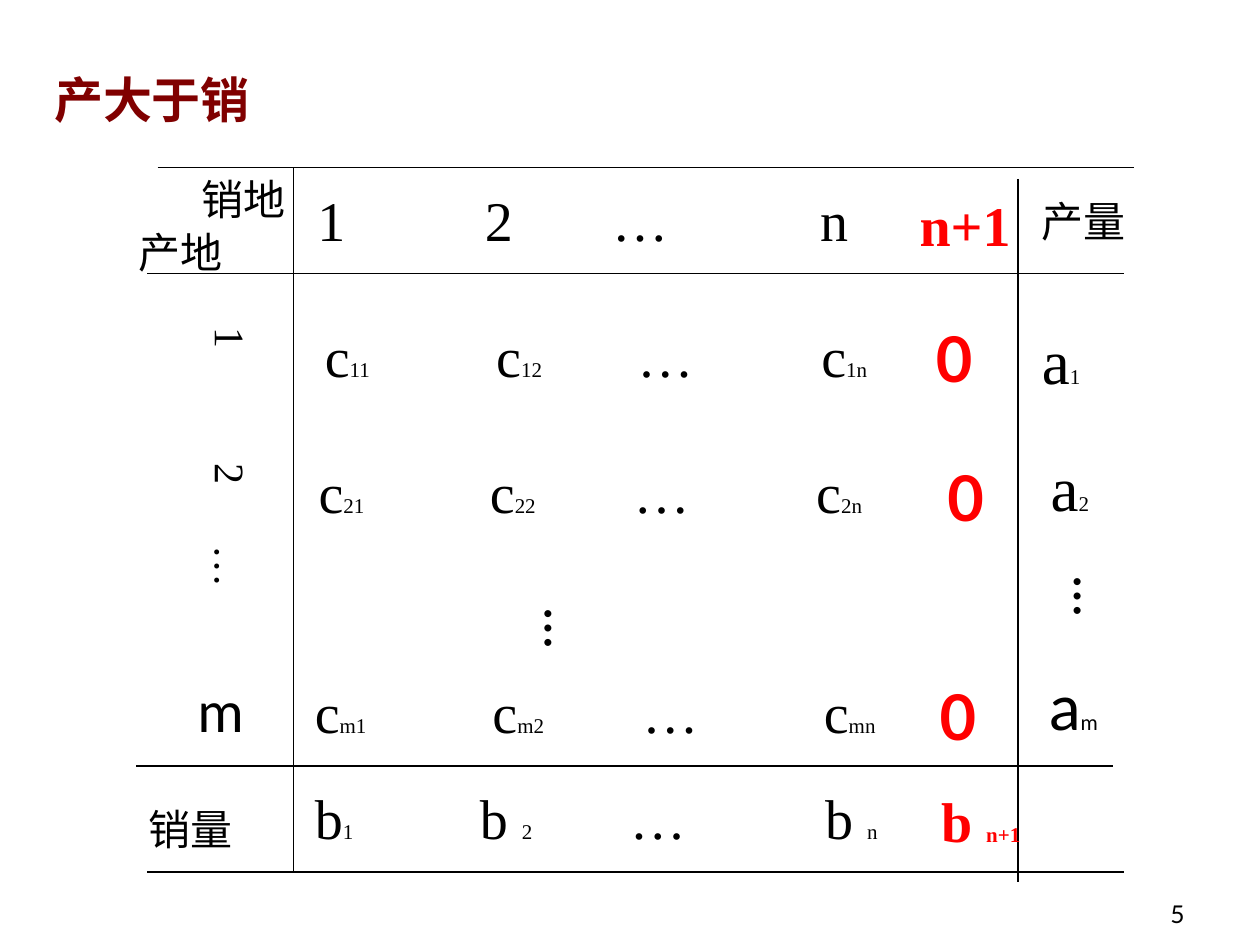
import pptx
import pptx.dml.color
import pptx.enum.shapes
import pptx.enum.text
import pptx.oxml
import pptx.oxml.ns
import pptx.util
from dataclasses import dataclass
from pptx.util import Inches

BLACK = pptx.dml.color.RGBColor(0x00, 0x00, 0x00)
RED = pptx.dml.color.RGBColor(0xFF, 0x00, 0x00)
MAROON = pptx.dml.color.RGBColor(0x80, 0x00, 0x00)
SANS = "Lato"
SERIF = "Times New Roman"
SUBSCRIPT_SIZE = 12


@dataclass
class Box:
    """A region of the slide, in inches."""
    left: float
    top: float
    width: float
    height: float

    def inner(self, left, top, width, height):
        """Return a box whose place is given relative to this one."""
        return Box(self.left + left, self.top + top, width, height)

    def lengths(self):
        """Return left, top, width and height as slide lengths."""
        return [Inches(value) for value in (self.left, self.top, self.width, self.height)]


def add_run(paragraph, text, size, font=SANS, color=BLACK, bold=False):
    """Append one formatted run to a paragraph."""
    run = paragraph.add_run()
    run.text = text
    run.font.size = pptx.util.Pt(size)
    run.font.name = font
    run.font.bold = bold
    run.font.color.rgb = color


def add_tab_stops(paragraph, stops):
    """Give a paragraph left tab stops at the given inches."""
    tab_list = pptx.oxml.ns.qn("a:tabLst")
    properties = paragraph._p.get_or_add_pPr()
    tabs = properties.makeelement(tab_list, {})
    properties.append(tabs)
    for stop in stops:
        tab = tabs.makeelement(pptx.oxml.ns.qn("a:tab"), {"pos": str(Inches(stop)), "algn": "l"})
        tabs.append(tab)


def add_text_box(slide, box, stops=(), vertical=False):
    """Add an empty text box and return its first paragraph."""
    frame = slide.shapes.add_textbox(*box.lengths()).text_frame
    frame.word_wrap = True
    if vertical:
        frame.margin_left = frame.margin_right = Inches(0.05)
        frame.margin_top = frame.margin_bottom = Inches(0.1)
        frame._txBody.bodyPr.set("vert", "eaVert")
    paragraph = frame.paragraphs[0]
    if stops:
        add_tab_stops(paragraph, stops)
    return paragraph


def add_indexed(paragraph, base, index, size=32, font=SERIF, **style):
    """Append a symbol followed by its small index."""
    add_run(paragraph, base, size, font, **style)
    add_run(paragraph, index, SUBSCRIPT_SIZE, font, **style)


def add_symbol_row(slide, box, base, indices, stops):
    """Add three indexed symbols with an ellipsis before the last."""
    first, second, last = indices
    paragraph = add_text_box(slide, box, stops)
    add_indexed(paragraph, base.strip(), first)
    add_indexed(paragraph, "\t" + base, second)
    add_indexed(paragraph, "\t…\t" + base, last)


def add_vertical_dots(slide, box):
    """Add a vertical ellipsis."""
    add_run(add_text_box(slide, box, vertical=True), "…", 32)


def add_title(slide, box):
    """Fill and place the title placeholder."""
    title = slide.shapes.title
    title.left, title.top, title.width, title.height = box.lengths()
    frame = title.text_frame
    frame.auto_size = pptx.enum.text.MSO_AUTO_SIZE.NONE
    frame.vertical_anchor = pptx.enum.text.MSO_ANCHOR.TOP
    paragraph = frame.paragraphs[0]
    paragraph.alignment = pptx.enum.text.PP_ALIGN.LEFT
    add_run(paragraph, "产大于销", 28, color=MAROON, bold=True)


def add_grid(slide, box):
    """Draw the rules of the transport table."""
    rule_length = 7.75
    horizontal = [(0.25, 0), (0.17, 0.84), (0.08, 4.75), (0.17, 5.59)]
    rules = [(left, top, left + rule_length, top) for left, top in horizontal]
    rules += [(1.33, 0, 1.33, 5.59), (7.08, 0.09, 7.08, 5.67)]
    for start_x, start_y, end_x, end_y in rules:
        line = slide.shapes.add_connector(
            pptx.enum.shapes.MSO_CONNECTOR.STRAIGHT,
            Inches(box.left + start_x), Inches(box.top + start_y),
            Inches(box.left + end_x), Inches(box.top + end_y))
        line.line.color.rgb = BLACK
        line.line.width = pptx.util.Pt(0.75)
        properties = line._element.spPr
        properties.append(properties.makeelement(pptx.oxml.ns.qn("a:effectLst"), {}))


def add_headings(slide, box):
    """Add the row and column headings."""
    labels = [("销地", 0.5, 0), ("产地", 0, 0.42), ("销量", 0.08, 5), ("产量", 7.17, 0.17)]
    for text, left, top in labels:
        add_run(add_text_box(slide, box.inner(left, top, 1.17, 0.5)), text, 24)
    columns = add_text_box(slide, box.inner(1.42, 0.09, 4.55, 0.64), (1.33, 2.34, 3.99))
    add_run(columns, "1\t2\t…\tn", 32, SERIF)
    extra = add_text_box(slide, box.inner(6.2, 0.13, 2.13, 0.64))
    add_run(extra, "n+1", 32, SERIF, RED, True)
    rows = add_text_box(slide, box.inner(0.09, 1.17, 1, 3.53), (1.08, 1.73), vertical=True)
    add_run(rows, "1\t2\t…", 24, SERIF)
    add_run(add_text_box(slide, box.inner(0.47, 3.99, 1.17, 0.64)), "m", 32)


def add_costs(slide, box):
    """Add the cost rows and the zero costs of the extra column."""
    rows = [
        ("1", 1.48, 1.17, (1.36, 2.48, 3.94)),
        ("2", 1.43, 2.25, (1.36, 2.5, 3.95)),
        ("m", 1.4, 4, (1.41, 2.6, 4.04)),
    ]
    for row, left, top, stops in rows:
        indices = [row + column for column in "12n"]
        add_symbol_row(slide, box.inner(left, top, 4.83, 0.64), "c", indices, stops)
    add_vertical_dots(slide, box.inner(2.29, 3.39, 1.53, 0.8))
    for left, top in [(6.33, 1.16), (6.42, 2.26), (6.36, 4)]:
        zero = add_text_box(slide, box.inner(left, top, 1.17, 0.7))
        add_run(zero, "0", 36, color=RED, bold=True)


def add_supply(slide, box):
    """Add the supply column."""
    supplies = [("1", 7.17, 1.17, SERIF), ("2", 7.24, 2.18, SERIF), ("m", 7.23, 3.92, SANS)]
    for index, left, top, font in supplies:
        paragraph = add_text_box(slide, box.inner(left, top, 1.17, 0.7))
        add_indexed(paragraph, "a", index, 36, font)
    add_vertical_dots(slide, box.inner(6.49, 3.14, 1.53, 0.8))


def add_demand(slide, box):
    """Add the demand row."""
    add_symbol_row(slide, box.inner(1.4, 4.84, 4.88, 0.64), "b ", "12n", (1.31, 2.5, 4.05))
    extra = add_text_box(slide, box.inner(6.37, 4.86, 1.09, 0.64))
    add_indexed(extra, "b ", "n+1", color=RED, bold=True)


def add_page_number(slide, box):
    """Add the page number at the lower right."""
    paragraph = add_text_box(slide, box)
    paragraph._parent.vertical_anchor = pptx.enum.text.MSO_ANCHOR.BOTTOM
    paragraph.alignment = pptx.enum.text.PP_ALIGN.RIGHT
    add_run(paragraph, "5", 14)


def main():
    """Build the slide and save it."""
    presentation = pptx.Presentation()
    presentation.slide_width = Inches(10)
    presentation.slide_height = Inches(7.5)
    slide = presentation.slides.add_slide(presentation.slide_layouts[5])
    add_title(slide, Box(0.33, 0.5, 4.83, 0.57))
    table = Box(1, 1.33, 8.34, 5.67)
    for add_region in (add_grid, add_headings, add_costs, add_supply, add_demand):
        add_region(slide, table)
    add_page_number(slide, Box(7.42, 6.92, 2.08, 0.5))
    presentation.save("out.pptx")


if __name__ == "__main__":
    main()
